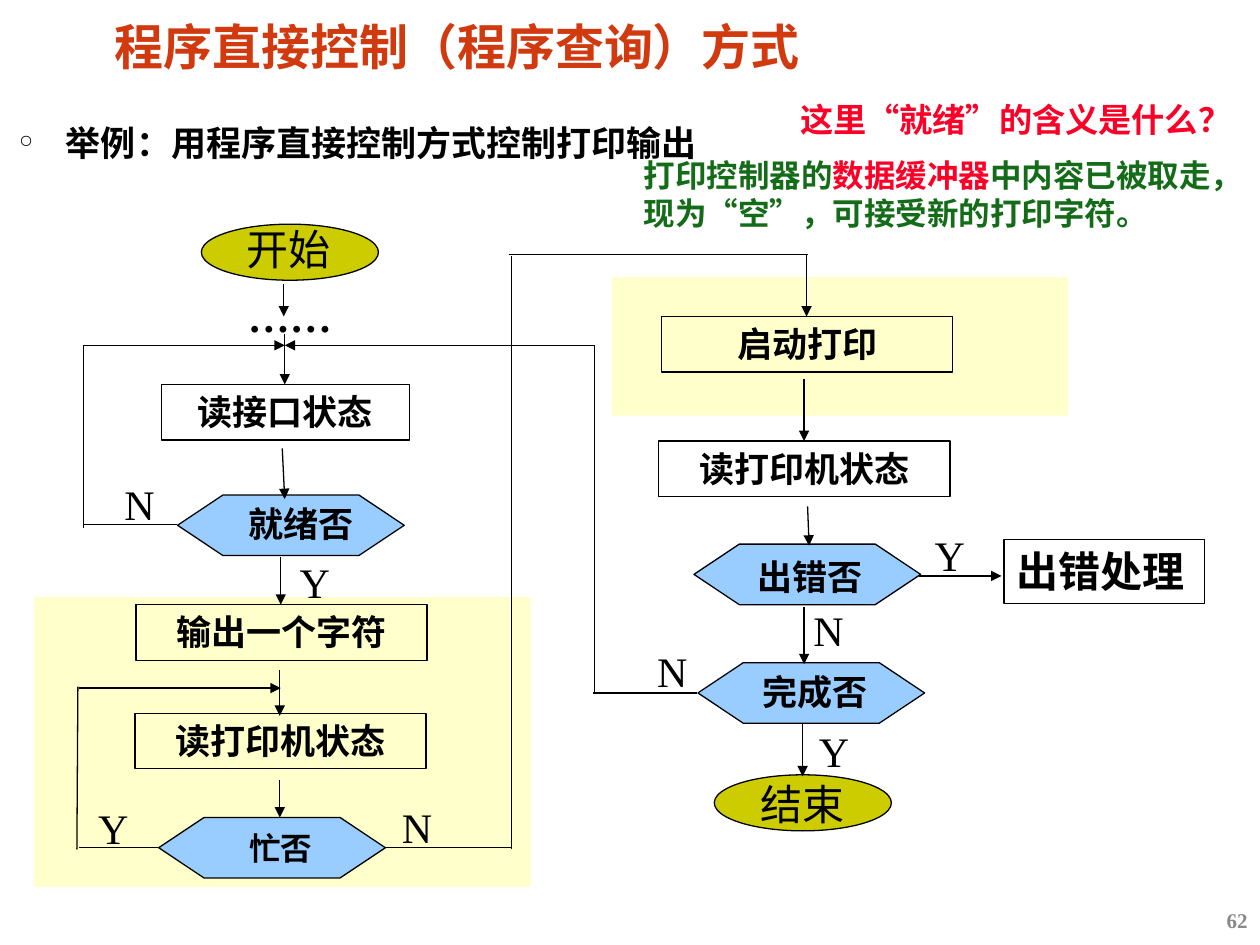
import pptx
import pptx.dml.color
import pptx.enum.shapes
import pptx.enum.text
import pptx.oxml
import pptx.oxml.ns
import pptx.util

Cm = pptx.util.Cm
SHAPE = pptx.enum.shapes.MSO_SHAPE
ALIGN = pptx.enum.text.PP_ALIGN

THEME = {
    "black": "000000", "title": "D1390F", "question": "FC0128", "answer": "146C18",
    "number": "898989", "panel": "FFFF99", "terminal": "CCCC00", "decision": "99CCFF",
    "chinese": "Noto Sans CJK SC", "serif": "Times New Roman", "sans": "Arial",
    "title size": 28, "large": 24, "normal": 20, "question size": 19, "small": 18,
    "number size": 12, "line": 0.75,
}

# Content: positions and sizes in centimetres
PANELS = [(12.34, 5.59, 9.19, 2.79), (0.69, 12.04, 10.01, 5.84)]
TERMINALS = [(4.06, 4.52), (14.4, 15.62)]
DECISIONS = [(3.58, 9.98), (3.2, 16.48), (13.99, 10.97), (14.07, 13.36)]
TERMINAL_SIZE, DECISION_SIZE = (3.57, 1.13), (4.57, 1.22)
STEP_HEIGHT, LETTER_SIZE = 1.12, (1.5, 1.27)
STEPS = [  # text, left, top, width
    ("读接口状态", 3.25, 7.75, 5.0),
    ("输出一个字符", 2.74, 12.19, 5.87),
    ("读打印机状态", 2.72, 14.38, 5.87),
    ("启动打印", 13.34, 6.38, 5.87),
    ("读打印机状态", 13.28, 8.89, 5.87),
]
ERROR_STEP = ("出错处理", (20.24, 10.87, 4.04, 1.3))
DECISION_LABELS = [
    ("就绪否", (4.52, 10.01, 3.1, 1.09), "normal"),
    ("忙否", (4.11, 16.59, 3.1, 1.02), "small"),
    ("出错否", (14.66, 11.07, 3.33, 1.09), "normal"),
    ("完成否", (14.88, 13.39, 3.1, 1.09), "normal"),
]
TERMINAL_LABELS = [
    ("开始", (4.72, 4.39, 3.48, 1.27)),
    ("结束", (15.09, 15.57, 3.48, 1.27)),
]
BRANCH_LETTERS = [
    ("N", 2.26, 9.53), ("Y", 5.79, 11.1), ("N", 7.85, 16.03), ("Y", 1.73, 16.05),
    ("Y", 16.26, 14.5), ("N", 13.0, 12.88), ("N", 16.15, 12.07), ("Y", 18.59, 10.54),
]
ARROWS = [  # from x, from y, to x, to y
    (5.72, 5.72, 5.72, 6.38), (5.74, 6.73, 5.74, 7.75), (5.69, 9.04, 5.74, 10.06),
    (5.66, 11.23, 5.66, 12.19), (5.64, 13.51, 5.64, 14.43), (5.64, 15.72, 5.64, 16.48),
    (16.26, 5.13, 16.26, 6.38), (16.21, 7.65, 16.21, 8.89), (16.28, 10.21, 16.31, 11.0),
    (16.21, 12.24, 16.21, 13.39), (16.18, 14.6, 16.18, 15.65), (18.52, 11.61, 20.19, 11.61),
    (1.68, 6.96, 5.74, 6.96), (11.99, 6.96, 5.74, 6.96), (1.6, 13.87, 5.66, 13.87),
]
LINES = [
    (10.26, 5.13, 16.28, 5.13), (10.31, 5.16, 10.31, 17.12), (7.77, 17.09, 10.31, 17.09),
    (3.56, 10.57, 1.68, 10.57), (1.68, 6.96, 1.68, 10.64),
    (1.6, 17.09, 3.18, 17.09), (1.57, 13.84, 1.55, 17.12),
    (14.05, 13.97, 11.96, 13.97), (11.99, 6.96, 11.99, 14.0),
]
ANSWER = [
    ("打印控制器的", "answer"), ("数据缓冲器", "question"),
    ("中内容已被取走，现为“空”，可接受新的打印字符。", "answer"),
]

presentation = pptx.Presentation()
presentation.slide_width, presentation.slide_height = Cm(25.4), Cm(19.05)
slide = presentation.slides.add_slide(presentation.slide_layouts[6])


def color(name):
    return pptx.dml.color.RGBColor.from_string(THEME[name])


def add_xml(parent, tag, **attributes):
    element = pptx.oxml.parse_xml(f"<a:{tag} {pptx.oxml.ns.nsdecls('a')}/>")
    for name, value in attributes.items():
        element.set(name, value)
    parent.append(element)
    return element


def write(shape, parts, size, font="serif", bold=True, **paragraph_format):
    """Fill a shape with one paragraph made of (text, colour) parts."""
    shape.text_frame.word_wrap = True
    shape.text_frame.vertical_anchor = pptx.enum.text.MSO_ANCHOR.TOP
    paragraph = shape.text_frame.paragraphs[0]
    for name, value in {"alignment": ALIGN.LEFT, **paragraph_format}.items():
        setattr(paragraph, name, value)
    for text, color_name in parts:
        run = paragraph.add_run()
        run.text = text
        values = {"name": THEME[font], "size": pptx.util.Pt(THEME[size]), "bold": bold}
        for name, value in values.items():
            setattr(run.font, name, value)
        run.font.color.rgb = color(color_name)
        add_xml(run.font._element, "ea", typeface=THEME["chinese"])
    return paragraph


def add_text(place, parts, size, **options):
    box = slide.shapes.add_textbox(*map(Cm, place))
    return box, write(box, parts, size, **options)


def set_insets(box):
    for side, inset in {"left": 0.18, "right": 0.18, "top": 0.08, "bottom": 0.08}.items():
        setattr(box.text_frame, f"margin_{side}", Cm(inset))


def add_block(kind, place, fill=None, outlined=True):
    shape = slide.shapes.add_shape(kind, *map(Cm, place))
    shape.shadow.inherit = False
    if fill:
        shape.fill.solid()
        shape.fill.fore_color.rgb = color(fill)
    else:
        shape.fill.background()
    if outlined:
        shape.line.color.rgb = color("black")
        shape.line.width = pptx.util.Pt(THEME["line"])
    else:
        shape.line.fill.background()
    return shape


def add_line(ends, arrow=False):
    connector = slide.shapes.add_connector(
        pptx.enum.shapes.MSO_CONNECTOR.STRAIGHT, *map(Cm, ends))
    connector.line.color.rgb = color("black")
    connector.line.width = pptx.util.Pt(THEME["line"])
    if arrow:
        add_xml(connector.line._get_or_add_ln(), "tailEnd", type="triangle")
    add_xml(connector._element.spPr, "effectLst")


# Half-transparent panels
for place in PANELS:
    panel = add_block(SHAPE.RECTANGLE, place, "panel", outlined=False)
    panel_color = panel.fill._xPr.find(".//" + pptx.oxml.ns.qn("a:srgbClr"))
    add_xml(panel_color, "alpha", val="50000")

# Title and example heading
title, _ = add_text((1.91, 0.41, 18.67, 1.17), [(" 程序直接控制（程序查询）方式", "title")],
                    "title size", font="chinese", line_spacing=0.87)
heading, heading_paragraph = add_text(
    (0.2, 2.21, 22.76, 1.14), [("举例：用程序直接控制方式控制打印输出", "black")],
    "normal", font="sans", line_spacing=1.2)
for box in (title, heading):
    set_insets(box)
properties = heading_paragraph._element.get_or_add_pPr()
properties.set("marL", str(Cm(0.95)))
properties.set("indent", str(-Cm(0.95)))
add_xml(properties, "buChar", char="°")

# Flowchart blocks
for position in TERMINALS:
    add_block(SHAPE.OVAL, position + TERMINAL_SIZE, "terminal")
for position in DECISIONS:
    add_block(SHAPE.FLOWCHART_PREPARATION, position + DECISION_SIZE, "decision")
for text, left, top, width in STEPS:
    step = add_block(SHAPE.RECTANGLE, (left, top, width, STEP_HEIGHT))
    write(step, [(text, "black")], "normal", alignment=ALIGN.CENTER)
error_text, error_place = ERROR_STEP
write(add_block(SHAPE.RECTANGLE, error_place), [(error_text, "black")], "large")

# Arrows and lines
for ends in ARROWS:
    add_line(ends, arrow=True)
for ends in LINES:
    add_line(ends)

# Flowchart labels
for text, place in TERMINAL_LABELS:
    add_text(place, [(text, "black")], "large", bold=False)
for text, place, size in DECISION_LABELS:
    add_text(place, [(text, "black")], size, alignment=ALIGN.CENTER)
for text, left, top in BRANCH_LETTERS:
    add_text((left, top) + LETTER_SIZE, [(text, "black")], "large", bold=False)
add_text((4.75, 5.74, 3.02, 1.27), [("……", "black")], "large")

# Question, answer and slide number
add_text((15.88, 1.88, 9.52, 1.07), [("这里“就绪”的含义是什么？", "question")],
         "question size", font="sans")
add_text((12.73, 3.02, 12.67, 1.8), ANSWER, "small", font="sans")
number, _ = add_text((19.69, 18.03, 5.71, 1.02), [("62", "number")], "number size",
                     alignment=ALIGN.RIGHT)
number.text_frame.vertical_anchor = pptx.enum.text.MSO_ANCHOR.MIDDLE

presentation.save("out.pptx")
